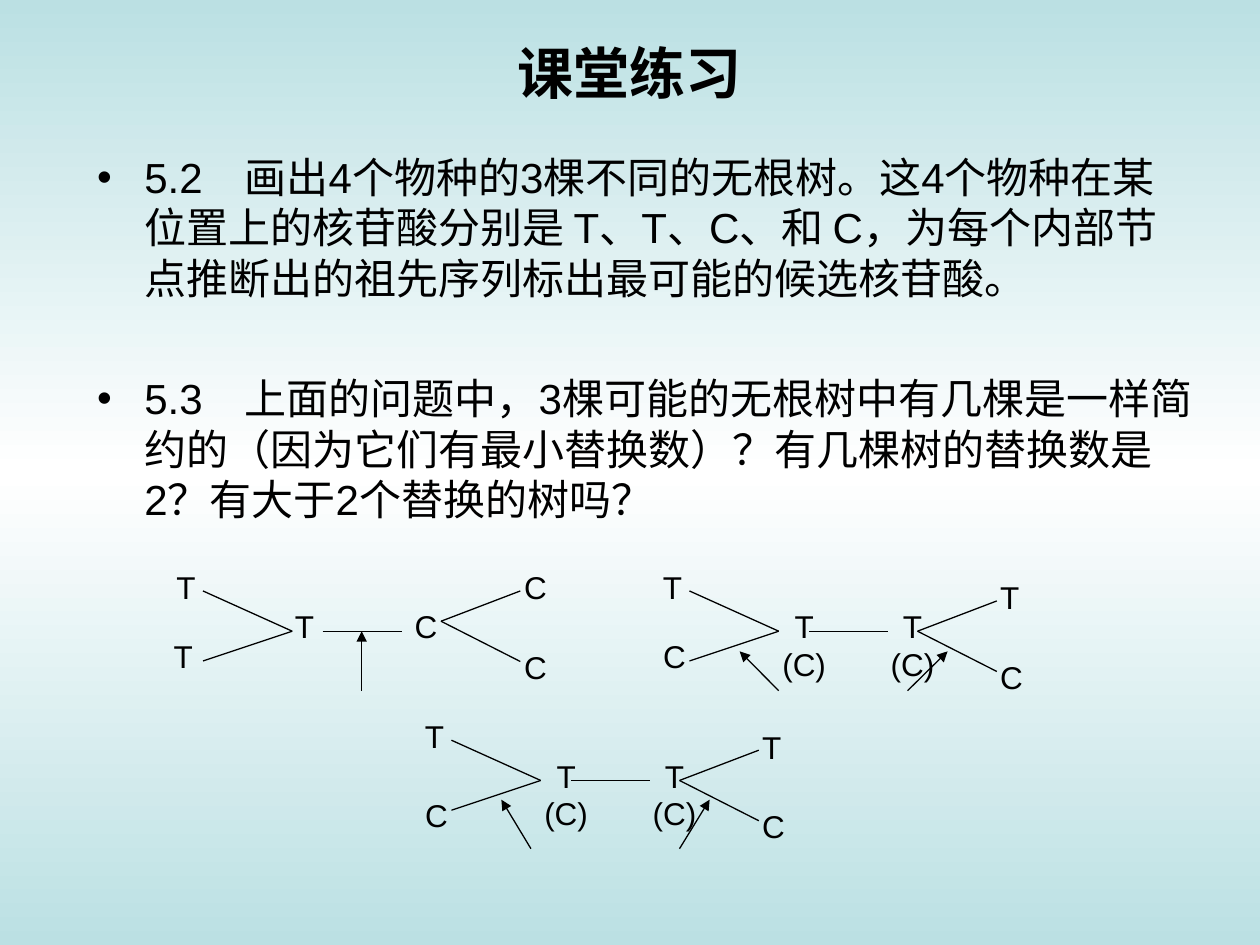
"""Build a class exercise slide with three unrooted trees."""
from copy import deepcopy
from typing import NamedTuple

from lxml.etree import SubElement as Sub
from pptx import Presentation
from pptx.dml.color import RGBColor
from pptx.enum.shapes import MSO_CONNECTOR as Line
from pptx.enum.text import MSO_ANCHOR as Anchor, PP_ALIGN as Align
from pptx.oxml.ns import qn
from pptx.util import Pt

BLACK = RGBColor(0, 0, 0)
WHITE = RGBColor(255, 255, 255)
TEAL = RGBColor(0xBB, 0xE0, 0xE3)
FONT = "Arial"
BODY = (
    "5.2　画出4个物种的3棵不同的无根树。这4个物种在某位置上的核苷酸分别是 T、T、C、和 C，"
    "为每个内部节点推断出的祖先序列标出最可能的候选核苷酸。",
    "5.3　上面的问题中，3棵可能的无根树中有几棵是一样简约的（因为它们有最小替换数）？"
    "有几棵树的替换数是2？有大于2个替换的树吗？",
)


class Dot(NamedTuple):
    x: float
    y: float

    def move(self, x: float, y: float) -> "Dot":
        return Dot(self.x + x, self.y + y)


class Label(NamedTuple):
    text: str
    x: float
    y: float


class Tree(NamedTuple):
    base: Dot
    fork: Dot
    labels: tuple[Label, ...]
    arrows: tuple[tuple[Dot, Dot], ...]


PAIR = (
    Label("T", -9.7, -16.6),
    Label("T\n(C)", 65.5, 5.8), Label("T\n(C)", 127.4, 5.8),
    Label("T", 183, -10.8), Label("C", 184, 34.6),
)
SPLIT = (
    Label("T", -9.7, -16.6), Label("T", -11.2, 23),
    Label("T", 58, 5.8), Label("C", 127.4, 5.8),
    Label("C", 190, -16.6), Label("C", 190, 28.8),
)
TREES = (
    Tree(Dot(116, 337.7), Dot(136, 17.3), SPLIT,
         ((Dot(90.7, 57), Dot(90.7, 23)),)),
    Tree(Dot(394, 337.7), Dot(130.3, 23), (*PAIR, Label("C", -8.6, 23)),
         ((Dot(51, 57), Dot(28.7, 34.5)), (Dot(124.6, 57), Dot(147.5, 34.5)))),
    Tree(Dot(258, 423), Dot(130.3, 23), (*PAIR, Label("C", -8.6, 28.4)),
         ((Dot(45.4, 62), Dot(28.5, 34)), (Dot(130.3, 62), Dot(147.5, 34)))),
)


def paint(slide) -> None:
    fill = slide.background.fill
    fill.gradient()
    fill.gradient_angle = 270
    stops = next(slide.element.iter(qn("a:gsLst")))
    stops.append(deepcopy(stops[-1]))
    for stop, pos, color in zip(fill.gradient_stops, (0, 0.5, 1), (TEAL, WHITE, TEAL)):
        stop.position = pos
        stop.color.rgb = color


def write(slide, text: str, x: float, y: float, w: float, h: float,
          size: float, align: Align, wrap: bool = True, bold: bool = False):
    frame = slide.shapes.add_textbox(Pt(x), Pt(y), Pt(w), Pt(h)).text_frame
    frame.word_wrap = wrap
    frame.text = text
    for para in frame.paragraphs:
        para.alignment = align
        for run in para.runs:
            font = run.font
            font.name, font.size, font.bold = FONT, Pt(size), bold
            font.color.rgb = BLACK
    return frame


def bullet(para) -> None:
    props = para._p.get_or_add_pPr()
    props.set("marL", str(Pt(27)))
    props.set("indent", str(Pt(-27)))
    Sub(props, qn("a:buFont"), typeface=FONT)
    Sub(props, qn("a:buChar"), char="•")


def join(slide, start: Dot, end: Dot, arrow: bool = False) -> None:
    line = slide.shapes.add_connector(
        Line.STRAIGHT, Pt(start.x), Pt(start.y), Pt(end.x), Pt(end.y))
    line.line.color.rgb = BLACK
    line.line.width = Pt(0.75)
    if arrow:
        Sub(line.line._get_or_add_ln(), qn("a:tailEnd"), type="triangle")
    Sub(line._element.spPr, qn("a:effectLst"))


def draw(slide, tree: Tree) -> None:
    base = tree.base
    fork = base.move(*tree.fork)
    node = base.move(51, 23)
    join(slide, base, node)
    join(slide, node, base.move(0, 40))
    join(slide, base.move(68.4, 23), base.move(113.6, 23))
    for drop in (-17.3, 23):
        join(slide, fork, fork.move(45.3, drop))
    for text, x, y in tree.labels:
        w, h = (46, 50.4) if "\n" in text else (28, 28.8)
        spot = base.move(x - w / 2, y)
        write(slide, text, spot.x, spot.y, w, h, 18, Align.CENTER, wrap=False)
    for start, end in tree.arrows:
        join(slide, base.move(*start), base.move(*end), arrow=True)


def main() -> None:
    deck = Presentation()
    deck.slide_width, deck.slide_height = Pt(720), Pt(540)
    slide = deck.slides.add_slide(deck.slide_layouts[6])
    paint(slide)
    title = write(slide, "课堂练习", 36, 21.6, 648, 39, 32, Align.CENTER, bold=True)
    title.vertical_anchor = Anchor.MIDDLE
    body = write(slide, "\n".join(BODY), 48.4, 83, 642, 399.5, 24, Align.LEFT)
    for para in body.paragraphs:
        bullet(para)
    body.paragraphs[1].space_before = Pt(40)
    for tree in TREES:
        draw(slide, tree)
    deck.save("out.pptx")


if __name__ == "__main__":
    main()
